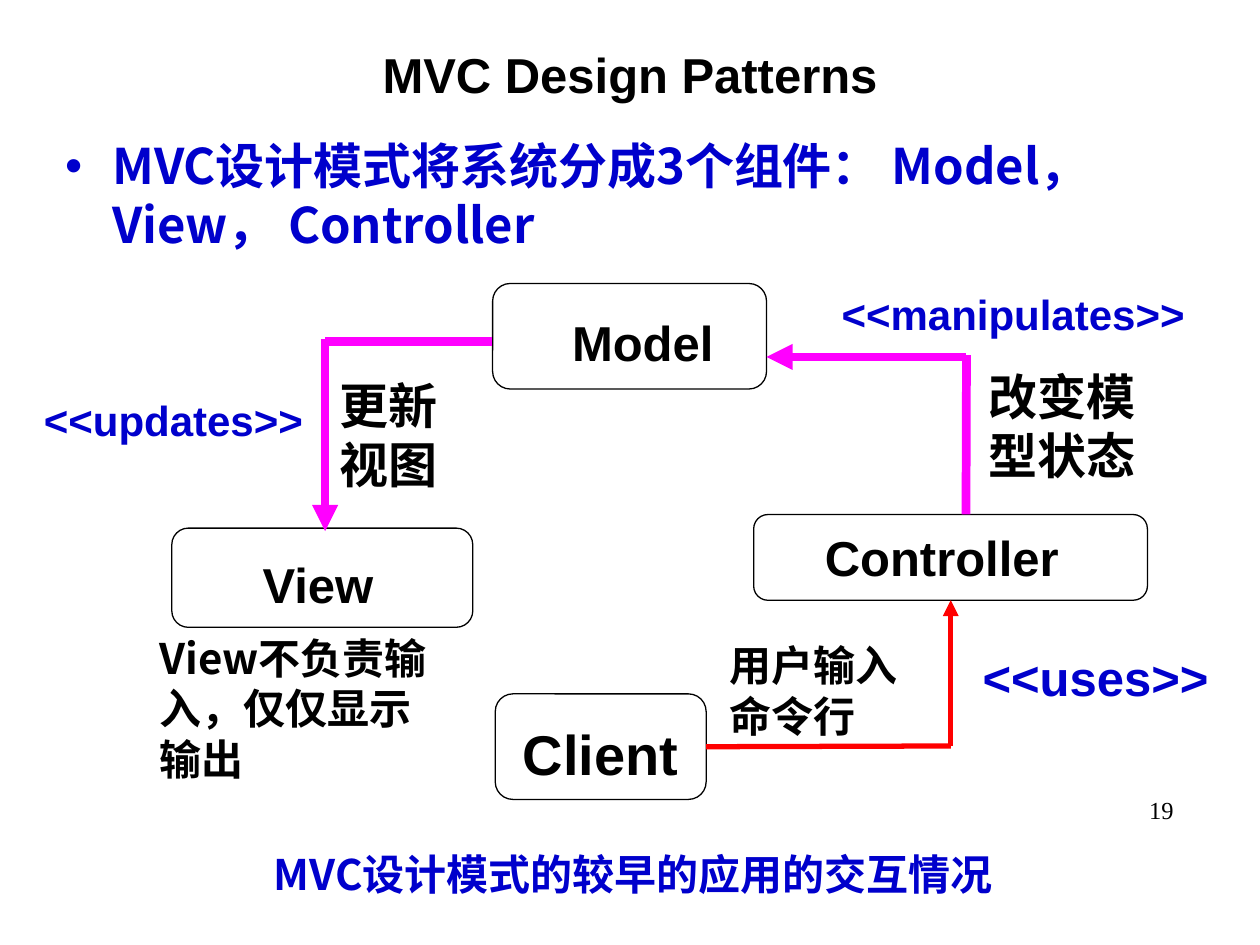
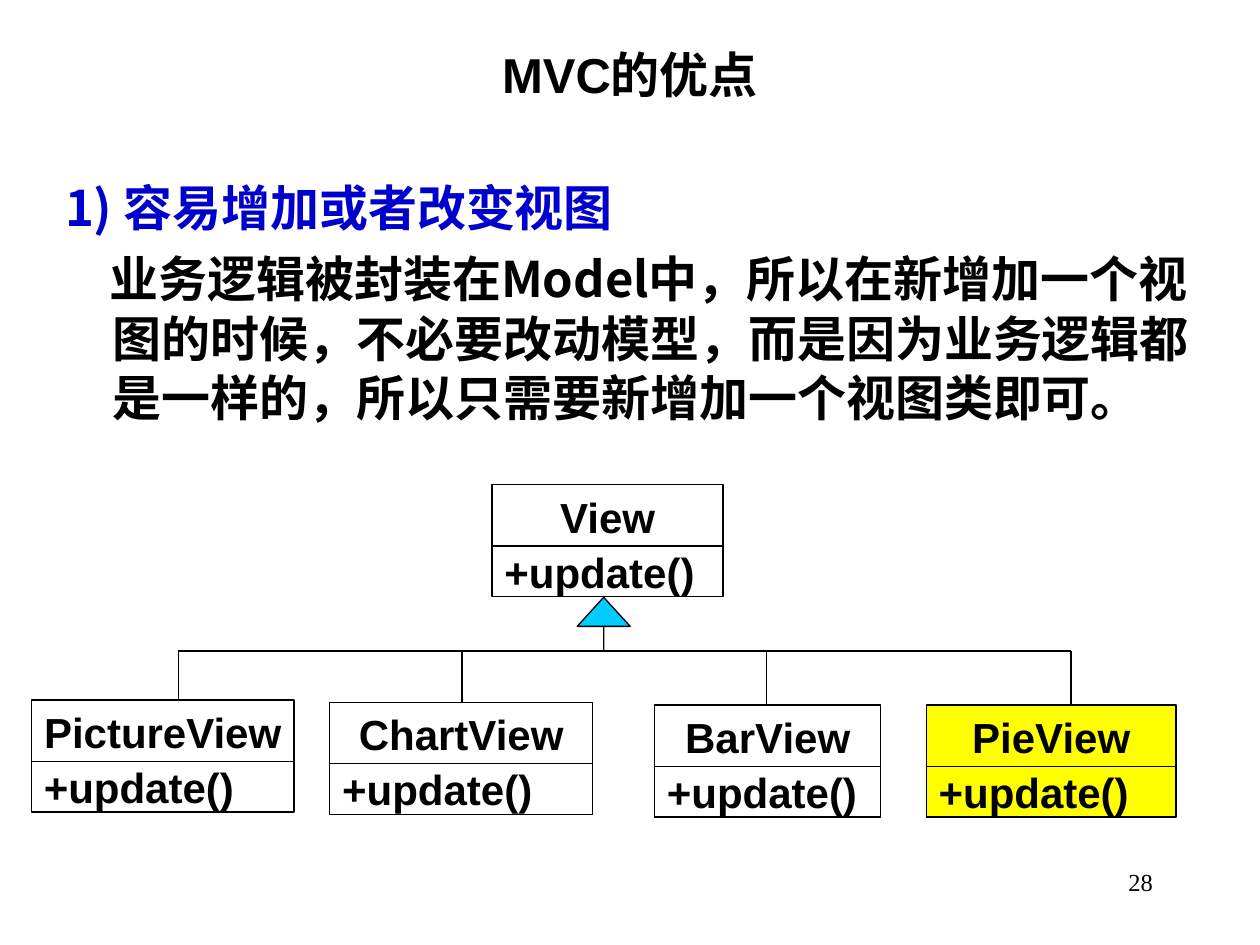
from dataclasses import dataclass

from lxml.etree import SubElement
from pptx import Presentation
from pptx.dml.color import RGBColor
from pptx.enum.shapes import MSO_CONNECTOR, MSO_SHAPE
from pptx.enum.text import MSO_ANCHOR, MSO_AUTO_SIZE, PP_ALIGN
from pptx.oxml.ns import qn
from pptx.util import Pt


@dataclass(frozen=True)
class Theme:
    black: str = "000000"
    white: str = "FFFFFF"
    blue: str = "0000CC"
    magenta: str = "FF00FF"
    red: str = "FF0000"
    cyan: str = "00CCFF"
    yellow: str = "FFFF00"
    latin: str = "Arial"
    chinese: str = "Noto Sans CJK SC"
    serif: str = "Times New Roman"
    huge: float = 32
    large: float = 28
    medium: float = 24
    small: float = 14
    thin: float = 0.75
    chinese_pitch: float = 1.205
    chinese_top: float = 5.4


THEME = Theme()


@dataclass(frozen=True)
class Box:
    left: float
    top: float
    width: float
    height: float

    def lengths(self) -> list:
        return [Pt(value) for value in (self.left, self.top, self.width, self.height)]


@dataclass(frozen=True)
class TextStyle:
    size: float = THEME.medium
    color: str = THEME.black
    font: str = THEME.latin
    bold: bool = True
    align: PP_ALIGN = PP_ALIGN.LEFT
    spacing: float | None = None


@dataclass(frozen=True)
class Label:
    text: str
    box: Box
    style: TextStyle


@dataclass(frozen=True)
class Component:
    """A rounded box; the side insets shift its text off centre."""
    name: str
    box: Box
    style: TextStyle
    left_inset: float = 5
    right_inset: float = 5


@dataclass(frozen=True)
class Line:
    start: tuple[float, float]
    end: tuple[float, float]
    color: str = THEME.black
    width: float = THEME.thin
    arrow: bool = False


@dataclass(frozen=True)
class ClassBox:
    name: str
    left: float
    top: float
    width: float
    fill: str = THEME.white


def style_paragraph(para, style: TextStyle) -> None:
    para.alignment = style.align
    if style.font == THEME.chinese:
        para.line_spacing = Pt(style.size * THEME.chinese_pitch)
    elif style.spacing:
        para.line_spacing = style.spacing
    font = para.font
    font.name, font.size, font.bold = style.font, Pt(style.size), style.bold
    font.color.rgb = RGBColor.from_string(style.color)
    defaults = para._p.get_or_add_pPr().find(qn("a:defRPr"))
    SubElement(defaults, qn("a:ea")).set("typeface", THEME.chinese)


def fill_frame(frame, text: str, style: TextStyle) -> None:
    frame.auto_size = MSO_AUTO_SIZE.NONE
    frame.text = text
    for para in frame.paragraphs:
        style_paragraph(para, style)


def place(shape, box: Box) -> None:
    shape.left, shape.top, shape.width, shape.height = box.lengths()


def add_label(page, label: Label) -> None:
    frame = page.shapes.add_textbox(*label.box.lengths()).text_frame
    frame.word_wrap = True
    if label.style.font == THEME.chinese:
        frame.margin_top = Pt(THEME.chinese_top)
    fill_frame(frame, label.text, label.style)


def add_outlined(page, kind: MSO_SHAPE, box: Box, fill: str):
    shape = page.shapes.add_shape(kind, *box.lengths())
    shape.shadow.inherit = False
    shape.fill.solid()
    shape.fill.fore_color.rgb = RGBColor.from_string(fill)
    shape.line.color.rgb = RGBColor.from_string(THEME.black)
    shape.line.width = Pt(THEME.thin)
    return shape


def add_component(page, component: Component) -> None:
    frame = add_outlined(page, MSO_SHAPE.ROUNDED_RECTANGLE, component.box, THEME.white).text_frame
    frame.margin_left, frame.margin_right = Pt(component.left_inset), Pt(component.right_inset)
    frame.margin_top = frame.margin_bottom = Pt(2.5)
    frame.vertical_anchor = MSO_ANCHOR.MIDDLE
    fill_frame(frame, component.name, component.style)


def add_line(page, line: Line) -> None:
    points = [Pt(value) for value in (*line.start, *line.end)]
    connector = page.shapes.add_connector(MSO_CONNECTOR.STRAIGHT, *points)
    connector.line.color.rgb = RGBColor.from_string(line.color)
    connector.line.width = Pt(line.width)
    if line.arrow:
        SubElement(connector.line._get_or_add_ln(), qn("a:tailEnd")).set("type", "triangle")
    SubElement(connector._element.spPr, qn("a:effectLst"))


def add_class(page, item: ClassBox) -> None:
    rows = (
        (item.name, 0, 36, PP_ALIGN.CENTER),
        ("+update()", 35, 29, PP_ALIGN.LEFT),
    )
    for text, offset, height, align in rows:
        box = Box(item.left, item.top + offset, item.width, height)
        frame = add_outlined(page, MSO_SHAPE.RECTANGLE, box, item.fill).text_frame
        frame.word_wrap = False
        frame.vertical_anchor = MSO_ANCHOR.MIDDLE
        fill_frame(frame, text, TextStyle(align=align))


def set_list_layout(para, margin: float, indent: float, bullet: str | None = None) -> None:
    properties = para._p.get_or_add_pPr()
    properties.set("marL", str(Pt(margin)))
    properties.set("indent", str(Pt(indent)))
    if bullet:
        SubElement(properties, qn("a:buChar")).set("char", bullet)
    else:
        SubElement(properties, qn("a:buNone"))


def add_page(deck, title: str, number: str, number_box: Box, body_box: Box):
    """Add a slide with its title and number; return it with its body frame."""
    page = deck.slides.add_slide(deck.slide_layouts[1])
    heading, body = page.placeholders
    place(heading, Box(54, 18, 612, 48))
    heading.text_frame.vertical_anchor = MSO_ANCHOR.MIDDLE
    fill_frame(heading.text_frame, title, TextStyle(THEME.large, align=PP_ALIGN.CENTER))
    place(body, body_box)
    body.text_frame.auto_size = MSO_AUTO_SIZE.NONE
    body.text_frame.margin_top = Pt(THEME.chinese_top)
    number_style = TextStyle(THEME.small, font=THEME.serif, bold=False, align=PP_ALIGN.RIGHT)
    add_label(page, Label(number, number_box, number_style))
    return page, body.text_frame


def build_pattern_page(deck) -> None:
    page, body = add_page(deck, "MVC Design Patterns", "19",
                          Box(528, 450.7, 149.8, 36), Box(30, 72, 636, 78))
    body.text = "MVC设计模式将系统分成3个组件： Model， View， Controller"
    para = body.paragraphs[0]
    set_list_layout(para, 27, -27, "•")
    para.space_before = Pt(0)
    style_paragraph(para, TextStyle(THEME.large, THEME.blue, THEME.chinese))

    spaced = TextStyle(THEME.large, align=PP_ALIGN.CENTER, spacing=1.2)
    components = (
        Component("Model", Box(281.5, 162, 156.5, 60.3),
                  TextStyle(THEME.large, spacing=1.2), left_inset=42.5),
        Component("View", Box(98.2, 301.8, 172, 56.7), spaced, right_inset=10),
        Component("Controller", Box(430.7, 294, 225, 49),
                  TextStyle(THEME.large, align=PP_ALIGN.CENTER), right_inset=15),
        Component("Client", Box(283, 396.5, 120.5, 60.3),
                  TextStyle(THEME.huge, align=PP_ALIGN.CENTER, spacing=1.2)),
    )
    for component in components:
        add_component(page, component)

    flows = (
        Line((281, 195.3), (185.8, 195.3), THEME.magenta, 5),
        Line((185.8, 193.5), (185.8, 303.5), THEME.magenta, 5, arrow=True),
        Line((552, 294), (552.3, 203), THEME.magenta, 5),
        Line((552.3, 204), (438, 204), THEME.magenta, 5, arrow=True),
        Line((543.3, 426.5), (543.3, 343), THEME.red, 3, arrow=True),
        Line((403.5, 426.7), (543.3, 426.3), THEME.red, 3),
    )
    for flow in flows:
        add_line(page, flow)

    stereotype = TextStyle(color=THEME.blue)
    note = TextStyle(font=THEME.chinese)
    large_note = TextStyle(THEME.large, font=THEME.chinese)
    caption = TextStyle(color=THEME.blue, font=THEME.chinese, align=PP_ALIGN.CENTER)
    labels = (
        Label("<<uses>>", Box(554.4, 366.5, 146, 41), TextStyle(THEME.large, THEME.blue)),
        Label("<<manipulates>>", Box(473.8, 161.3, 217.4, 36), stereotype),
        Label("<<updates>>", Box(18, 221.8, 167.8, 36), stereotype),
        Label("MVC设计模式的较早的应用的交互情况", Box(108, 479.5, 507.6, 36), caption),
        Label("用户输入命令行", Box(409.7, 360, 128.9, 65), note),
        Label("改变模型状态", Box(558, 203.8, 113, 75), large_note),
        Label("更新\n视图", Box(187.2, 208.8, 72, 75), large_note),
        Label("View不负责输入，仅仅显示输出", Box(84.2, 355.7, 175, 93.6), note),
    )
    for label in labels:
        add_label(page, label)


def build_benefit_page(deck) -> None:
    page, body = add_page(deck, "MVC的优点", "28",
                          Box(588, 492, 78, 26.6), Box(30, 96, 660, 156))
    body.text = (
        "1) 容易增加或者改变视图\n"
        "业务逻辑被封装在Model中，所以在新增加一个视图的时候，不必要改动模型，"
        "而是因为业务逻辑都是一样的，所以只需要新增加一个视图类即可。"
    )
    layouts = ((-27, 0, THEME.blue), (-1.5, 7, THEME.black))
    for para, (indent, space_before, color) in zip(body.paragraphs, layouts):
        set_list_layout(para, 27, indent)
        para.space_before = Pt(space_before)
        style_paragraph(para, TextStyle(THEME.large, color, THEME.chinese))

    subclasses = (
        ClassBox("PictureView", 18, 400, 150),
        ClassBox("ChartView", 188.5, 401.3, 150),
        ClassBox("BarView", 374, 402.8, 129.3),
        ClassBox("PieView", 529.3, 402.8, 142.8, THEME.yellow),
    )
    branch_lefts = (102, 264, 438, 612)
    branch_top = 372
    add_line(page, Line((branch_lefts[0], branch_top), (branch_lefts[-1], branch_top)))
    for left, subclass in zip(branch_lefts, subclasses):
        add_line(page, Line((left, branch_top), (left, subclass.top)))

    inheritance = add_outlined(page, MSO_SHAPE.UP_ARROW, Box(329.8, 341.3, 30.3, 30.7), THEME.cyan)
    inheritance.adjustments[0] = 0
    inheritance.adjustments[1] = 0.55
    for item in (ClassBox("View", 281.2, 277, 132), *subclasses):
        add_class(page, item)


def main() -> None:
    deck = Presentation()
    deck.slide_width, deck.slide_height = Pt(720), Pt(540)
    build_pattern_page(deck)
    build_benefit_page(deck)
    deck.save("out.pptx")


if __name__ == "__main__":
    main()
